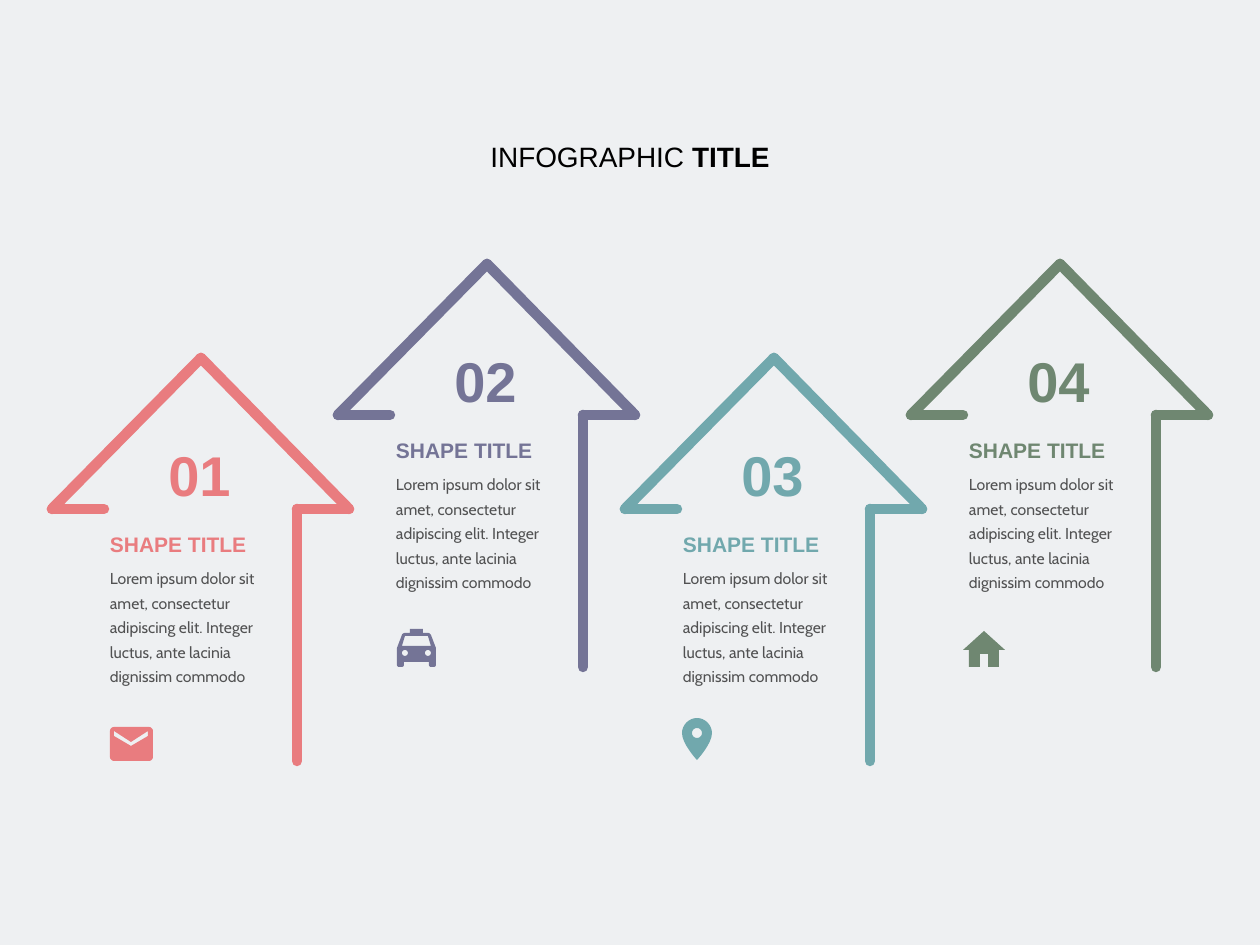
from math import cos, pi, sin

from lxml.etree import SubElement
from pptx import Presentation
from pptx.dml.color import RGBColor
from pptx.enum.shapes import MSO_CONNECTOR as CONN
from pptx.enum.text import MSO_ANCHOR as ANCHOR, MSO_AUTO_SIZE as FIT, PP_ALIGN as ALIGN
from pptx.oxml.ns import qn
from pptx.util import Emu, Pt

PX = 914400 / 126
COLORS = {
    "back": "EEF0F2", "text": "000000",
    "coral": "E97C7F", "violet": "747496", "teal": "71A8AD", "green": "6F8771",
}


def emu(px):
    return Emu(round(px * PX))


def circle(cx, cy, r, steps=32):
    angles = [2 * pi * i / steps for i in range(steps)]
    return [(cx + r * cos(a), cy + r * sin(a)) for a in angles]


def flatten(outline, steps=8):
    """Turn pairs (points) and sextuples (cubic curves) into plain points."""
    points = []
    for item in outline:
        if len(item) == 2:
            points.append(item)
            continue
        curve = [points[-1], item[:2], item[2:4], item[4:]]
        for i in range(1, steps + 1):
            t = i / steps
            weights = ((1 - t) ** 3, 3 * t * (1 - t) ** 2, 3 * t * t * (1 - t), t ** 3)
            points.append(tuple(sum(w * c[k] for w, c in zip(weights, curve)) for k in (0, 1)))
    return points


# Icon outlines, in px from the icon's top left corner
MAIL = [
    [(39, 0), (4, 0), (2, 0, 0, 2, 0, 4), (0, 30), (0, 32, 2, 34, 4, 34),
     (39, 34), (41, 34, 43, 32, 43, 30), (43, 4), (43, 2, 41, 0, 39, 0)],
    [(38, 9), (21, 19), (4, 9), (4, 4), (21, 15), (38, 4)],
]
CAR = [
    [(34, 6), (33, 5, 33, 4, 31, 4), (26, 4), (26, 0), (13, 0), (13, 4), (8, 4),
     (7, 4, 5, 5, 5, 6), (0, 19), (0, 36), (0, 37, 1, 38, 2, 38), (5, 38),
     (6, 38, 7, 37, 7, 36), (7, 33), (32, 33), (32, 36), (32, 37, 33, 38, 34, 38),
     (37, 38), (38, 38, 39, 37, 39, 36), (39, 19)],
    circle(8, 24, 3),
    circle(31, 24, 3),
    [(5, 17), (8, 7), (31, 7), (34, 17)],
]
PIN = [
    [(15, 0), (7, 0, 0, 7, 0, 15), (0, 26, 15, 42, 15, 42),
     (15, 42, 30, 26, 30, 15), (30, 7, 23, 0, 15, 0)],
    circle(15, 15, 5),
]
HOME = [
    [(17, 36), (17, 23), (25, 23), (25, 36), (36, 36), (36, 19),
     (42, 19), (21, 0), (0, 19), (6, 19), (6, 36)],
]


class Deck:
    def __init__(self, width, height):
        self.prs = Presentation()
        self.prs.slide_width, self.prs.slide_height = emu(width), emu(height)
        self.s = self.prs.slides.add_slide(self.prs.slide_layouts[6])
        self.paint(self.s.background.fill, "back")

    def paint(self, fill, color):
        fill.solid()
        fill.fore_color.rgb = RGBColor.from_string(COLORS[color])

    def text(self, box, runs, size, color="text", font="Arial", align=ALIGN.LEFT,
             anchor=ANCHOR.MIDDLE, spacing=None, alpha=None, fit=FIT.SHAPE_TO_FIT_TEXT):
        """Write runs given as (wording, bold) pairs."""
        tf = self.s.shapes.add_textbox(*map(emu, box)).text_frame
        tf.margin_left = tf.margin_top = tf.margin_right = tf.margin_bottom = 0
        tf.word_wrap, tf.auto_size, tf.vertical_anchor = True, fit, anchor
        p = tf.paragraphs[0]
        p.alignment = align
        if spacing:
            p.line_spacing = spacing
        for wording, bold in runs:
            r = p.add_run()
            r.text = wording
            r.font.name, r.font.size, r.font.bold = font, Pt(size), bold
            self.paint(r.font.fill, color)
            if alpha:
                rgb = r.font.fill._xPr.find(qn("a:solidFill"))[0]
                SubElement(rgb, qn("a:alpha"), val=str(alpha * 1000))

    def lines(self, segments, color, width=6):
        """Draw round-capped lines as one group."""
        group = self.s.shapes.add_group_shape()
        for segment in segments:
            c = group.shapes.add_connector(CONN.STRAIGHT, *map(emu, segment))
            c.line.width = Pt(width)
            self.paint(c.line.fill, color)
            c.line._get_or_add_ln().set("cap", "rnd")
            SubElement(c._element.spPr, qn("a:effectLst"))

    def icon(self, x, y, outlines, color):
        contours = [[(emu(x + dx), emu(y + dy)) for dx, dy in flatten(o)] for o in outlines]
        builder = self.s.shapes.build_freeform(*contours[0][0])
        for i, points in enumerate(contours):
            if i:
                builder.move_to(*points[0])
            builder.add_line_segments(points[1:], close=True)
        sp = builder.convert_to_shape()
        sp.shadow.inherit = False
        self.paint(sp.fill, color)
        sp.line.fill.background()

    def arrow(self, x, y, color):
        """Open house-shaped arrow; x, y is the left end of its base."""
        tip, right, stem = (x + 149, y - 151), x + 297, x + 245
        self.lines([
            (x, y, *tip), (right, y, *tip), (stem, y, right, y),
            (x, y, x + 52, y), (stem, y, stem, y + 252),
        ], color)


def main():
    deck = Deck(1260, 945)

    # Heading
    deck.text((437, 137, 386, 38), [("INFOGRAPHIC", False), (" TITLE", True)], 16,
              align=ALIGN.CENTER, fit=FIT.NONE)

    # Four arrows, alternately low and high: colour, icon, icon position
    steps = [
        ("coral", MAIL, 110, 727),
        ("violet", CAR, 397, 629),
        ("teal", PIN, 682, 718),
        ("green", HOME, 963, 631),
    ]
    body = ("Lorem ipsum dolor sit amet, consectetur adipiscing elit. "
            "Integer luctus, ante lacinia dignissim commodo")
    for i, (color, outlines, icon_x, icon_y) in enumerate(steps):
        x, y = 52 + round(286.4 * i), (509, 415)[i % 2]
        deck.arrow(x, y, color)
        deck.text((x + 58, y + 54, 161, 121), [(body, False)], 9, font="Cabin",
                  anchor=ANCHOR.TOP, spacing=1.3, alpha=65)
        deck.text((x + 58, y + 23, 161, 25), [("SHAPE TITLE", True)], 12, color)
        deck.text((x + 67, y - 69, 161, 68), [(f"{i + 1:02}", True)], 32, color,
                  align=ALIGN.CENTER)
        deck.icon(icon_x, icon_y, outlines, color)

    deck.prs.save("out.pptx")


if __name__ == "__main__":
    main()
